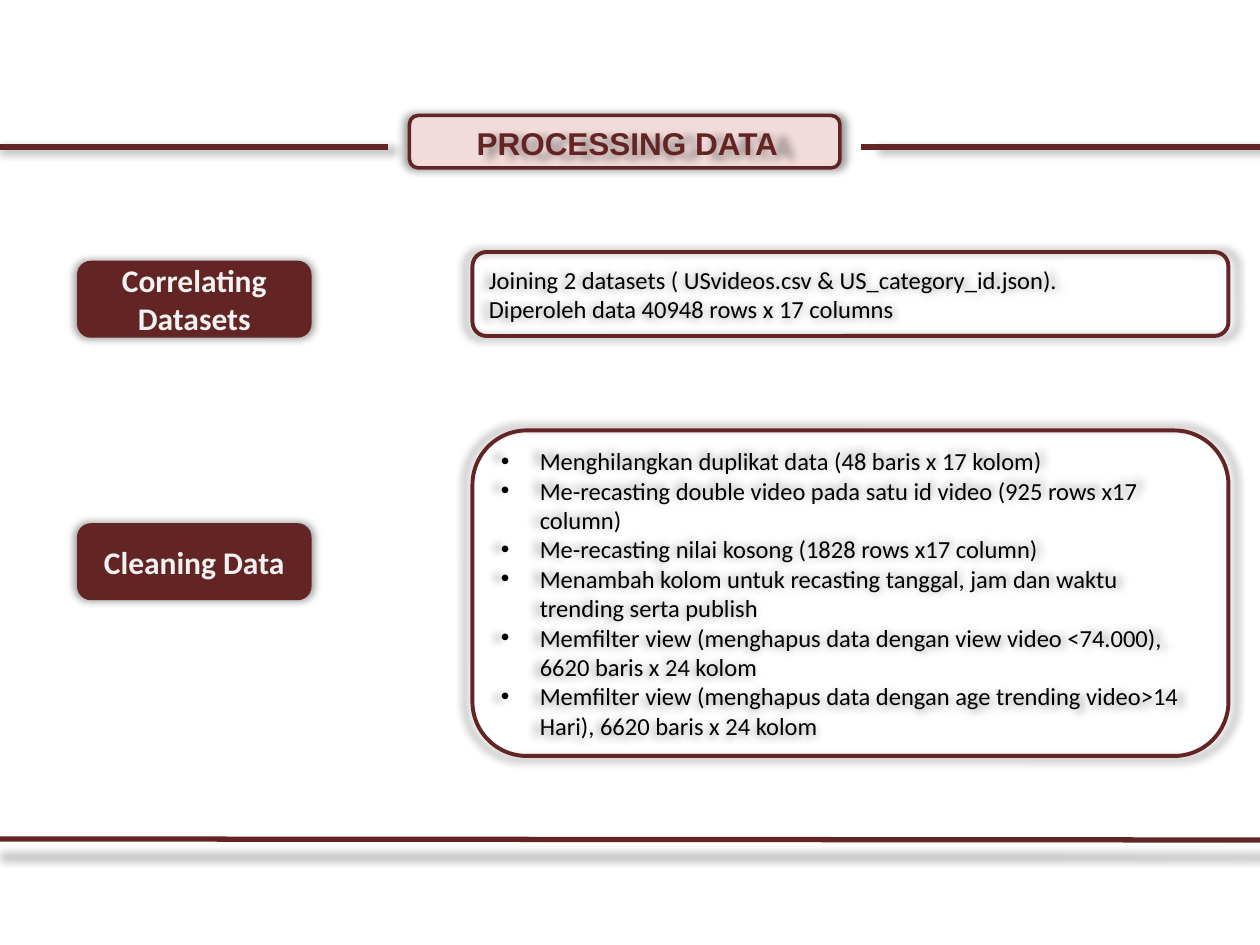
from lxml.etree import SubElement
from pptx import Presentation
from pptx.dml.color import RGBColor
from pptx.enum.shapes import MSO_CONNECTOR as Connector, MSO_SHAPE as Shape
from pptx.enum.text import MSO_ANCHOR as Anchor, MSO_AUTO_SIZE as AutoSize, PP_ALIGN as Align
from pptx.oxml.ns import qn
from pptx.util import Pt

EMU_PER_PX = 7620  # 120 px to the inch
COLOURS = {"maroon": "632523", "blush": "F2DCDB", "light": "F2F2F2", "black": "000000"}

HEADING = {"name": "Arial", "size": Pt(18), "bold": True}
LABEL = {"name": "Calibri", "size": Pt(18), "bold": True}
DETAIL = {"name": "Calibri", "size": Pt(14), "bold": False}

LABELS = [("Correlating Datasets", 250), ("Cleaning Data", 500)]
JOINING = [
    "Joining 2 datasets ( USvideos.csv & US_category_id.json).",
    "Diperoleh data 40948 rows x 17 columns",
]
CLEANING = [
    "Menghilangkan duplikat data (48 baris x 17 kolom)",
    "Me-recasting double video pada satu id video (925 rows x17 column)",
    "Me-recasting nilai kosong (1828 rows x17 column)",
    "Menambah kolom untuk recasting tanggal, jam dan waktu trending serta publish",
    "Memfilter view (menghapus data dengan view video <74.000), 6620 baris x 24 kolom",
    "Memfilter view (menghapus data dengan age trending video>14 Hari), 6620 baris x 24 kolom",
]
RULES = [((370, 140), (0, 140)), ((1200, 140), (820, 140)), ((1200, 800), (0, 799))]


def px(length):
    return length * EMU_PER_PX


def colour(name):
    return RGBColor.from_string(COLOURS[name])


def add_glow_shadow(item):
    """Soft black shadow, slightly larger than the item itself."""
    properties = item._element.spPr
    effects = SubElement(properties, qn("a:effectLst"))
    shadow = SubElement(effects, qn("a:outerShdw"), blurRad=str(Pt(5)),
                        sx="102000", sy="102000", algn="ctr", rotWithShape="0")
    black = SubElement(shadow, qn("a:prstClr"), val="black")
    SubElement(black, qn("a:alpha"), val="40000")


def outline(item, width):
    item.line.color.rgb = colour("maroon")
    item.line.width = Pt(width)


def place(item, box):
    for side, length in zip(("left", "top", "width", "height"), box):
        setattr(item, side, px(length))


def write(item, lines, font, ink, align=Align.LEFT, wrap=True):
    frame = item.text_frame
    frame.text = "\n".join(lines)
    settings = {"word_wrap": wrap, "auto_size": AutoSize.NONE, "vertical_anchor": Anchor.MIDDLE}
    for name, value in settings.items():
        setattr(frame, name, value)
    for paragraph in frame.paragraphs:
        paragraph.alignment = align
        paragraph.space_before = Pt(0)
        for name, value in font.items():
            setattr(paragraph.font, name, value)
        paragraph.font.color.rgb = colour(ink)


def add_panel(slide, box, fill=None, line_width=2):
    panel = slide.shapes.add_shape(Shape.ROUNDED_RECTANGLE, *map(px, box))
    if fill:
        panel.fill.solid()
        panel.fill.fore_color.rgb = colour(fill)
    else:
        panel.fill.background()
    outline(panel, line_width)
    add_glow_shadow(panel)
    return panel


def add_rule(slide, start, end):
    rule = slide.shapes.add_connector(Connector.STRAIGHT, *map(px, start + end))
    outline(rule, 3)
    add_glow_shadow(rule)


def set_heading(slide):
    add_panel(slide, (390, 110, 410, 50), "blush")
    title = slide.shapes.title
    place(title, (440, 112, 315, 48))
    write(title, ["PROCESSING DATA"], HEADING, "maroon", Align.CENTER, wrap=False)
    add_glow_shadow(title)
    slide.shapes._spTree.append(title._element)  # in front of its panel


def set_cleaning_list(slide):
    body = slide.placeholders[1]
    place(body, (450, 410, 720, 310))
    geometry = SubElement(body._element.spPr, qn("a:prstGeom"), prst="roundRect")
    SubElement(geometry, qn("a:avLst"))
    body.fill.background()
    outline(body, 2.25)
    add_glow_shadow(body)
    write(body, CLEANING, DETAIL, "black")
    for paragraph in body.text_frame.paragraphs:
        properties = paragraph._p.get_or_add_pPr()
        properties.set("marL", str(px(37)))
        properties.set("indent", str(px(-37)))
        SubElement(properties, qn("a:buFont"), typeface="Arial")
        SubElement(properties, qn("a:buChar"), char="•")
        # Default run properties come after the bullet in the schema.
        properties.append(properties.find(qn("a:defRPr")))
        for run in paragraph.runs:
            for name, value in DETAIL.items():
                setattr(run.font, name, value)
            run.font.color.rgb = colour("black")


def main():
    deck = Presentation()
    deck.slide_width, deck.slide_height = px(1200), px(900)
    slide = deck.slides.add_slide(deck.slide_layouts[1])

    set_heading(slide)
    for start, end in RULES:
        add_rule(slide, start, end)
    for text, top in LABELS:
        label = add_panel(slide, (75, top, 220, 70), "maroon")
        write(label, [text], LABEL, "light", Align.CENTER)
    joining = add_panel(slide, (450, 240, 720, 80), line_width=2.25)
    write(joining, JOINING, DETAIL, "black")
    set_cleaning_list(slide)

    deck.save("out.pptx")


if __name__ == "__main__":
    main()
